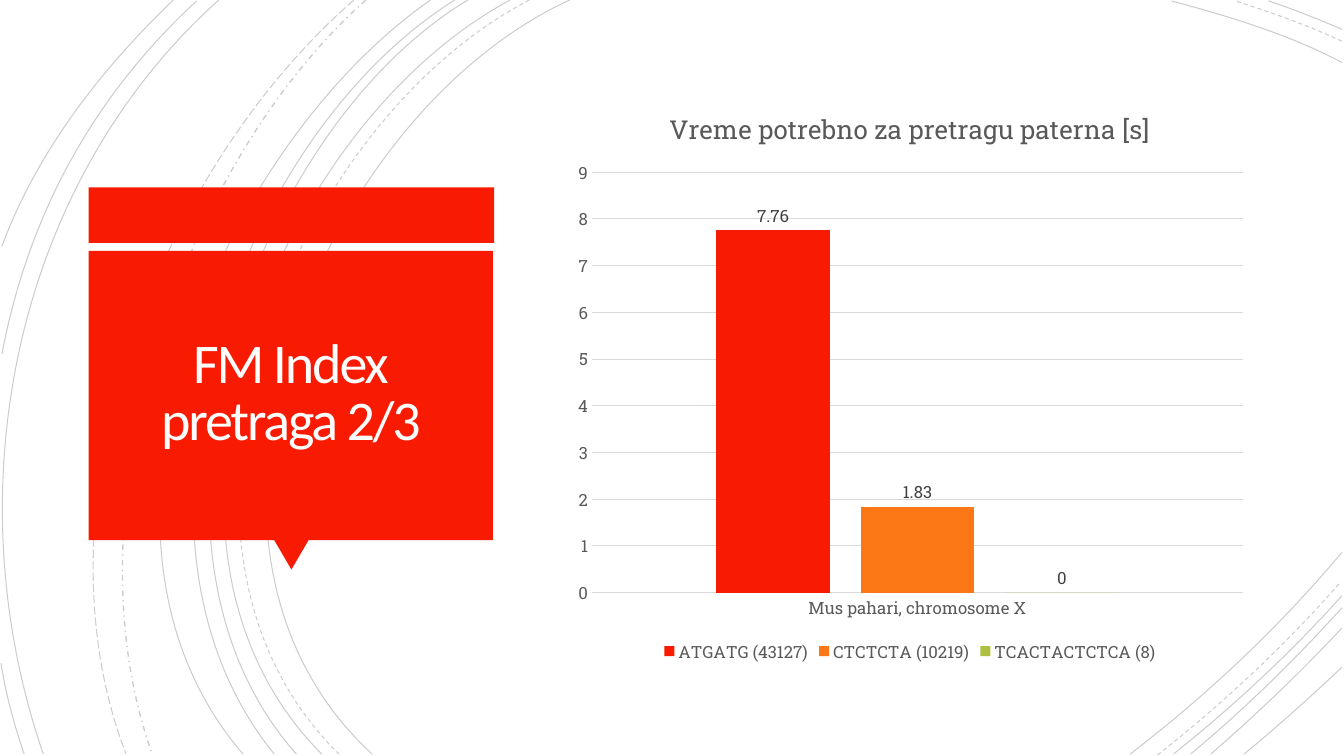
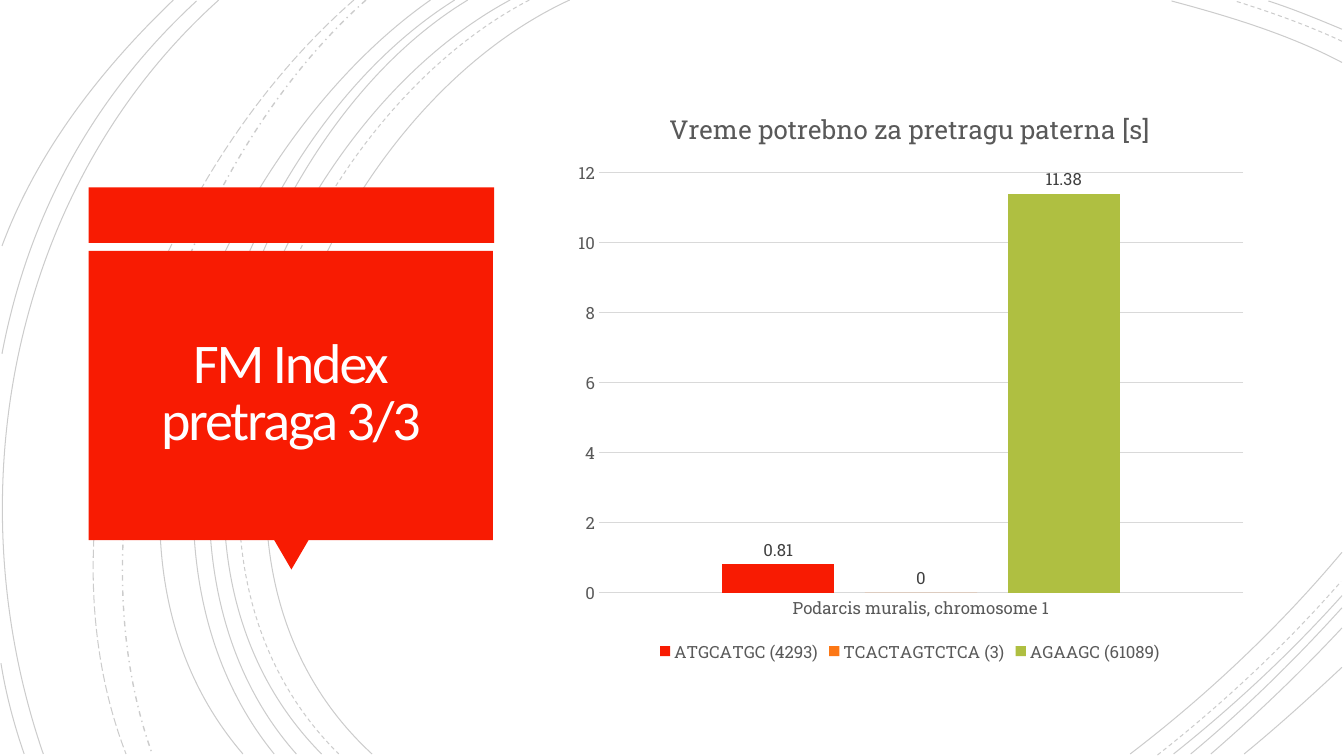
from dataclasses import dataclass

from lxml.etree import SubElement
from pptx import Presentation
from pptx.chart.data import CategoryChartData
from pptx.dml.color import RGBColor
from pptx.enum.chart import XL_CHART_TYPE, XL_LABEL_POSITION, XL_LEGEND_POSITION, XL_TICK_MARK
from pptx.enum.dml import MSO_LINE
from pptx.enum.shapes import MSO_SHAPE
from pptx.enum.text import MSO_ANCHOR, PP_ALIGN
from pptx.oxml import parse_xml
from pptx.oxml.ns import nsdecls, qn
from pptx.util import Inches, Pt

COLUMNS, ROWS = 13.33, 7.5
RED, ORANGE, GREEN = "F81B02", "FC7715", "AFBF41"
BLACK, WHITE, GRID_GRAY, TEXT_GRAY, LABEL_GRAY = "000000", "FFFEFF", "D9D9D9", "595959", "404040"
TITLE_FONT, CHART_FONT = "Calibri", "Roboto Slab"
SOLID, DASH = MSO_LINE.SOLID, MSO_LINE.DASH

ARCS = [
    (SOLID, (5.65, 0), (3.15, 1.15), (1.43, 5.4), (3.69, 7.48)),
    (SOLID, (13.31, 0.62), (12.78, 0.34), (12.18, 0.16), (11.62, 0.01)),
    (SOLID, (11.21, 7.48), (11.97, 6.9), (12.69, 6.22), (13.31, 5.48)),
    (DASH, (5.25, 0), (2.85, 1.25), (1.23, 5.37), (3.36, 7.48)),
    (DASH, (13.31, 0.41), (12.97, 0.25), (12.6, 0.12), (12.25, 0.01)),
    (DASH, (11.48, 7.49), (12.13, 6.98), (12.75, 6.4), (13.3, 5.77)),
    (SOLID, (5.06, 0), (2.7, 1.27), (1.1, 5.37), (3.19, 7.48)),
    (SOLID, (13.31, 0.29), (13.07, 0.19), (12.83, 0.09), (12.58, 0.01)),
    (SOLID, (11.64, 7.48), (12.23, 7.01), (12.8, 6.48), (13.31, 5.91)),
    (SOLID, (4.64, 0), (2.44, 1.33), (1.1, 5.41), (2.94, 7.48)),
    (SOLID, (11.81, 7.48), (12.34, 7.04), (12.84, 6.55), (13.31, 6.03)),
    (SOLID, (4.51, 0), (2.31, 1.38), (0.97, 5.33), (2.72, 7.48)),
    (SOLID, (12.01, 7.48), (12.46, 7.09), (12.9, 6.67), (13.31, 6.23)),
    (SOLID, (4.27, 0), (2.17, 1.47), (0.53, 5.29), (2.41, 7.48)),
    (SOLID, (12.34, 7.48), (12.67, 7.21), (12.99, 6.92), (13.31, 6.62)),
    (MSO_LINE.DASH_DOT, (3.63, 0), (1.76, 1.66), (0.65, 5.09), (1.51, 7.48)),
    (MSO_LINE.LONG_DASH, (3.51, 0), (1.57, 1.69), (0.29, 4.99), (1.25, 7.48)),
    (SOLID, (2.17, 0), (0.11, 1.85), (-0.46, 4.9), (0.43, 7.48)),
    (SOLID, (1.95, 0.01), (0.92, 0.96), (0.28, 2.14), (0.02, 3.51)),
    (SOLID, (0.01, 6.58), (0.06, 6.89), (0.14, 7.19), (0.24, 7.48)),
    (SOLID, (1.72, 0), (1, 0.69), (0.37, 1.5), (0.02, 2.44)),
]

CHART_TITLE = "Vreme potrebno za pretragu paterna [s]"
SEARCHES = [
    {
        "title": "FM Index\vpretraga 2/3",
        "category": "Mus pahari, chromosome X",
        "series": [("ATGATG (43127)", 7.76), ("CTCTCTA (10219)", 1.83), ("TCACTACTCTCA (8)", 0)],
        "scale": {"minimum_scale": 0, "maximum_scale": 9, "major_unit": 1},
        "label_width": 0.28,
    },
    {
        "title": "FM Index\vpretraga 3/3",
        "category": "Podarcis muralis, chromosome 1",
        "series": [("ATGCATGC (4293)", 0.81), ("TCACTAGTCTCA (3)", 0), ("AGAAGC (61089)", 11.38)],
        "scale": {"minimum_scale": 0, "maximum_scale": 12, "major_unit": 2},
        "label_width": 0.35,
    },
]


@dataclass
class Box:
    left: float
    top: float
    width: float
    height: float

    def inches(self):
        return [Inches(length) for length in (self.left, self.top, self.width, self.height)]


SLIDE = Box(0, 0, COLUMNS, ROWS)
CALLOUT = Box(0.88, 1.86, 4.02, 3.79)
TITLE = Box(0.97, 2.57, 3.83, 2.69)
CHART = Box(5.59, 0.87, 6.87, 5.74)


def color(hex_string):
    return RGBColor.from_string(hex_string)


def apply(target, formats):
    for name, value in formats.items():
        setattr(target, name, value)


def style_font(font, size, hex_string, name=CHART_FONT):
    apply(font, {"size": Pt(size), "name": name, "bold": False})
    font.color.rgb = color(hex_string)


def style_line(line, hex_string, width=0.75):
    line.color.rgb = color(hex_string)
    line.width = Pt(width)


def bend(shape):
    outline = shape._element.find(".//" + qn("a:path"))
    curve = SubElement(outline, qn("a:cubicBezTo"))
    for segment in outline.findall(qn("a:lnTo")):
        curve.append(segment[0])
        outline.remove(segment)


def add_arcs(slide, box):
    group = slide.shapes.add_group_shape()
    for dash, *points in ARCS:
        places = [(Inches(box.left + x), Inches(box.top + y)) for x, y in points]
        builder = group.shapes.build_freeform(*places[0])
        builder.add_line_segments(places[1:], close=False)
        shape = builder.convert_to_shape()
        bend(shape)
        shape.shadow.inherit = False
        shape.fill.background()
        style_line(shape.line, BLACK, 1 if dash == MSO_LINE.DASH_DOT else 0.75)
        shape.line.dash_style = dash
        black = shape.line._ln.find(".//" + qn("a:srgbClr"))
        SubElement(black, qn("a:alpha"), val="20000")
    return group


def add_callout(slide, box):
    band, gap, pointer_width, pointer_height, overlap = 0.55, 0.08, 0.35, 0.3, 0.01
    body = Box(box.left, box.top + band + gap, box.width - 0.01,
               box.height - band - gap - pointer_height + overlap)
    pointer = Box(box.left + (box.width - pointer_width) / 2,
                  box.top + box.height - pointer_height, pointer_width, pointer_height)
    parts = [
        (MSO_SHAPE.RECTANGLE, Box(box.left, box.top, box.width, band), 0),
        (MSO_SHAPE.ISOSCELES_TRIANGLE, pointer, 180),
        (MSO_SHAPE.RECTANGLE, body, 0),
    ]
    group = slide.shapes.add_group_shape()
    for kind, place, rotation in parts:
        shape = group.shapes.add_shape(kind, *place.inches())
        shape.shadow.inherit = False
        shape.fill.solid()
        shape.fill.fore_color.rgb = color(RED)
        shape.line.fill.background()
        shape.rotation = rotation
    return group


def move_to_layout(group, layout):
    layout.shapes._spTree.append(group._element)


def add_title(slide, box, title):
    frame = slide.shapes.add_textbox(*box.inches()).text_frame
    margins = ("margin_left", "margin_top", "margin_right", "margin_bottom")
    apply(frame, dict.fromkeys(margins, Inches(0.25)))
    apply(frame, {"word_wrap": True, "vertical_anchor": MSO_ANCHOR.MIDDLE})
    paragraph = frame.paragraphs[0]
    apply(paragraph, {"text": title, "alignment": PP_ALIGN.CENTER, "line_spacing": 0.85})
    for run in paragraph.runs:
        style_font(run.font, 40, WHITE, TITLE_FONT)
        for name, value in {"spc": "-150", "kern": "0"}.items():
            run.font._element.set(name, value)


def place_plot(chart, box, label_width):
    area = chart._chartSpace.chart.plotArea
    for layout in area.findall(qn("c:layout")):
        area.remove(layout)
    shares = {
        "x": label_width / box.width,
        "y": 0.84 / box.height,
        "w": (6.74 - label_width) / box.width,
        "h": 4.17 / box.height,
    }
    values = "".join(f'<c:{name} val="{share:.4f}"/>' for name, share in shares.items())
    area.insert(0, parse_xml(
        f'<c:layout {nsdecls("c")}><c:manualLayout><c:layoutTarget val="inner"/>'
        f'<c:xMode val="edge"/><c:yMode val="edge"/>{values}</c:manualLayout></c:layout>'))


def add_search_chart(slide, box, search):
    data = CategoryChartData()
    data.categories = [search["category"]]
    for name, seconds in search["series"]:
        data.add_series(name, [seconds])
    chart = slide.shapes.add_chart(XL_CHART_TYPE.COLUMN_CLUSTERED, *box.inches(), data).chart
    style_font(chart.font, 10, BLACK)

    chart.has_title = True
    chart.chart_title.include_in_layout = False
    paragraph = chart.chart_title.text_frame.paragraphs[0]
    paragraph.text = CHART_TITLE
    style_font(paragraph.runs[0].font, 18.6, TEXT_GRAY)

    chart.has_legend = True
    apply(chart.legend, {"position": XL_LEGEND_POSITION.BOTTOM, "include_in_layout": False})
    style_font(chart.legend.font, 12, TEXT_GRAY)

    for axis in (chart.category_axis, chart.value_axis):
        apply(axis, {"major_tick_mark": XL_TICK_MARK.NONE, "minor_tick_mark": XL_TICK_MARK.NONE})
        style_font(axis.tick_labels.font, 12, TEXT_GRAY)
    style_line(chart.category_axis.format.line, GRID_GRAY)
    chart.value_axis.format.line.fill.background()
    style_line(chart.value_axis.major_gridlines.format.line, GRID_GRAY)
    apply(chart.value_axis, search["scale"])

    plot = chart.plots[0]
    apply(plot, {"gap_width": 219, "overlap": -27, "vary_by_categories": False})
    for series, hex_string in zip(plot.series, (RED, ORANGE, GREEN)):
        series.format.fill.solid()
        series.format.fill.fore_color.rgb = color(hex_string)
        labels = series.data_labels
        apply(labels, {"show_value": True, "position": XL_LABEL_POSITION.OUTSIDE_END})
        style_font(labels.font, 12, LABEL_GRAY)
    place_plot(chart, box, search["label_width"])


def add_search_slide(slide, search):
    add_title(slide, TITLE, search["title"])
    add_search_chart(slide, CHART, search)


def main():
    presentation = Presentation()
    apply(presentation, {"slide_width": Inches(COLUMNS), "slide_height": Inches(ROWS)})
    layout = presentation.slide_layouts[6]
    slides = [presentation.slides.add_slide(layout) for _ in SEARCHES]
    move_to_layout(add_arcs(slides[0], SLIDE), layout)
    move_to_layout(add_callout(slides[0], CALLOUT), layout)
    for slide, search in zip(slides, SEARCHES):
        add_search_slide(slide, search)
    presentation.save("out.pptx")


if __name__ == "__main__":
    main()
